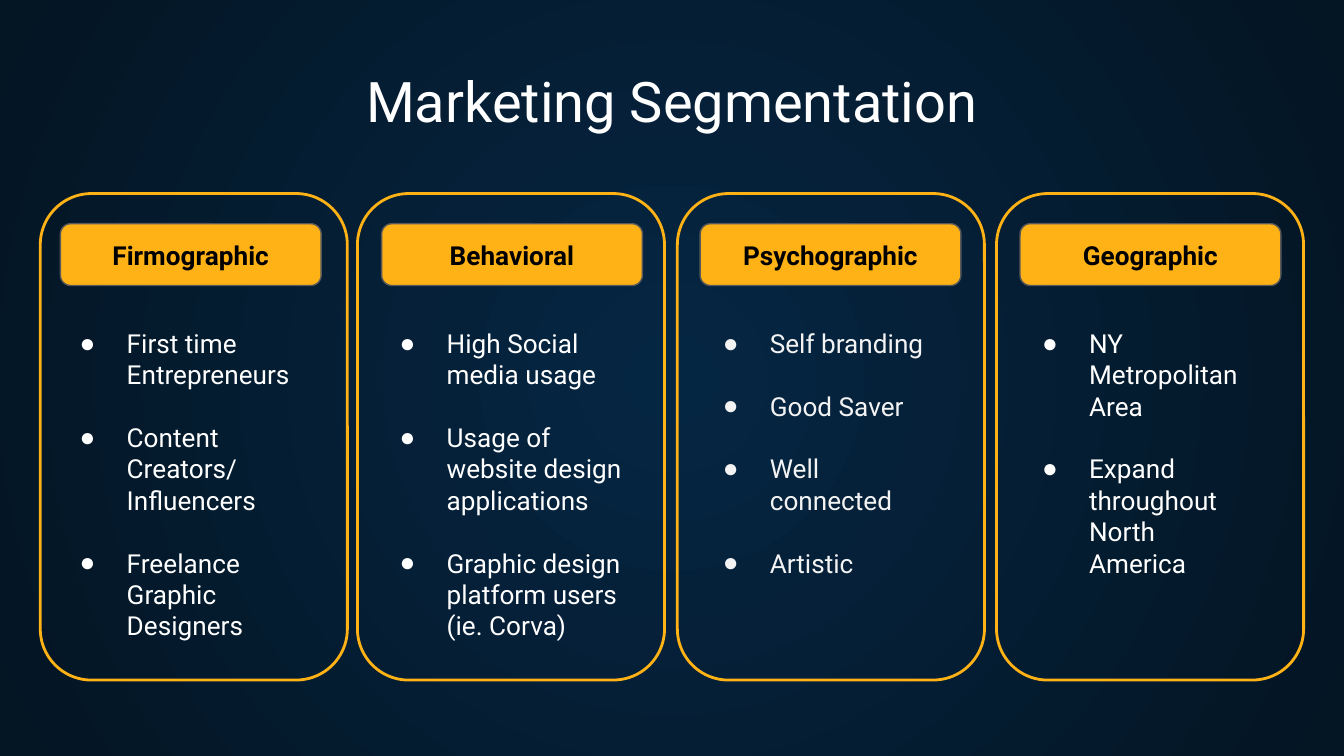
"""Build the Marketing Segmentation slide: four outlined cards with headings and bullets."""
from dataclasses import dataclass

from lxml import etree
from pptx import Presentation
from pptx.dml.color import RGBColor
from pptx.enum.shapes import MSO_SHAPE
from pptx.enum.text import MSO_ANCHOR, MSO_AUTO_SIZE, PP_ALIGN
from pptx.oxml.ns import qn
from pptx.util import Pt

ROUNDED = MSO_SHAPE.ROUNDED_RECTANGLE
TOP, MIDDLE, BOTTOM = MSO_ANCHOR.TOP, MSO_ANCHOR.MIDDLE, MSO_ANCHOR.BOTTOM
LEFT, CENTER, JUSTIFY = PP_ALIGN.LEFT, PP_ALIGN.CENTER, PP_ALIGN.JUSTIFY
NO_AUTOFIT = MSO_AUTO_SIZE.NONE
EMU_PER_PX = 4572


@dataclass(frozen=True)
class Theme:
    font: str = "Roboto"
    bullet_font: str = "Arial"
    glow: str = "052643"
    night: str = "041523"
    amber: str = "FFB215"
    gray: str = "595959"
    white: str = "FFFFFF"
    soft_white: str = "F3F3F3"
    black: str = "000000"
    title_size: int = 30
    body_size: int = 14
    item_gap: float = 16.8


theme = Theme()


def px(*lengths):
    return [length * EMU_PER_PX for length in lengths]


def write_text(shape, lines, anchor, alignment, size, color, bold=False):
    text_frame = shape.text_frame
    frame_format = {"word_wrap": True, "auto_size": NO_AUTOFIT, "vertical_anchor": anchor}
    for side in ("left", "top", "right", "bottom"):
        frame_format[f"margin_{side}"] = px(20)[0]
    for name, value in frame_format.items():
        setattr(text_frame, name, value)
    text_frame.text = "\n".join(lines)
    font_format = {"name": theme.font, "size": Pt(size), "bold": bold}
    for paragraph in text_frame.paragraphs:
        paragraph.alignment = alignment
        font = paragraph.runs[0].font
        for name, value in font_format.items():
            setattr(font, name, value)
        font.color.rgb = RGBColor.from_string(color)


presentation = Presentation()
presentation.slide_width, presentation.slide_height = px(2000, 1125)
slide = presentation.slides.add_slide(presentation.slide_layouts[5])

background = slide.background.fill
background.gradient()
for stop, color in zip(background.gradient_stops, (theme.glow, theme.night)):
    stop.color.rgb = RGBColor.from_string(color)
linear = slide.element.find(".//" + qn("a:lin"))
circle = etree.Element(qn("a:path"), {"path": "circle"})
etree.SubElement(circle, qn("a:fillToRect"), dict.fromkeys("ltrb", "50000"))
linear.getparent().replace(linear, circle)

title = slide.shapes.title
title.left, title.top, title.width, title.height = px(68, 87, 1864, 132)
write_text(title, ["Marketing Segmentation"], BOTTOM, CENTER, theme.title_size, theme.white)

segments = [
    ("Firmographic", 60, 90, 69, 412, LEFT, theme.white,
     ["First time Entrepreneurs", "Content Creators/ Influencers", "Freelance Graphic Designers"]),
    ("Behavioral", 532, 568, 545, 412, LEFT, theme.white,
     ["High Social media usage", "Usage of website design applications",
      "Graphic design platform users (ie. Corva)"]),
    ("Psychographic", 1008, 1042, 1026, 388, LEFT, theme.soft_white,
     ["Self branding", "Good Saver", "Well connected", "Artistic"]),
    ("Geographic", 1483, 1518, 1501, 388, JUSTIFY, theme.white,
     ["NY Metropolitan Area", "Expand throughout North America"]),
]

for heading, card_left, label_left, list_left, list_width, alignment, color, items in segments:
    card = slide.shapes.add_shape(ROUNDED, *px(card_left, 288, 457, 724))
    card.fill.background()
    label = slide.shapes.add_shape(ROUNDED, *px(label_left, 333, 388, 92))
    label.fill.solid()
    label.fill.fore_color.rgb = RGBColor.from_string(theme.amber)
    for shape, line_color, line_width in ((card, theme.amber, 1.5), (label, theme.gray, 0.75)):
        shape.shadow.inherit = False
        shape.line.color.rgb = RGBColor.from_string(line_color)
        shape.line.width = Pt(line_width)
    write_text(label, [heading], MIDDLE, CENTER, theme.body_size, theme.black, bold=True)

    bullet_list = slide.shapes.add_textbox(*px(list_left, 467, list_width, 518))
    write_text(bullet_list, items, TOP, alignment, theme.body_size, color)
    for index, paragraph in enumerate(bullet_list.text_frame.paragraphs):
        properties = paragraph._p.get_or_add_pPr()
        properties.set("marL", str(px(100)[0]))
        properties.set("indent", str(px(-70)[0]))
        bullet_color = etree.SubElement(properties, qn("a:buClr"))
        etree.SubElement(bullet_color, qn("a:srgbClr"), val=color)
        etree.SubElement(properties, qn("a:buFont"), typeface=theme.bullet_font)
        etree.SubElement(properties, qn("a:buChar"), char="●")
        if index:
            paragraph.space_before = Pt(theme.item_gap)

presentation.save("out.pptx")
